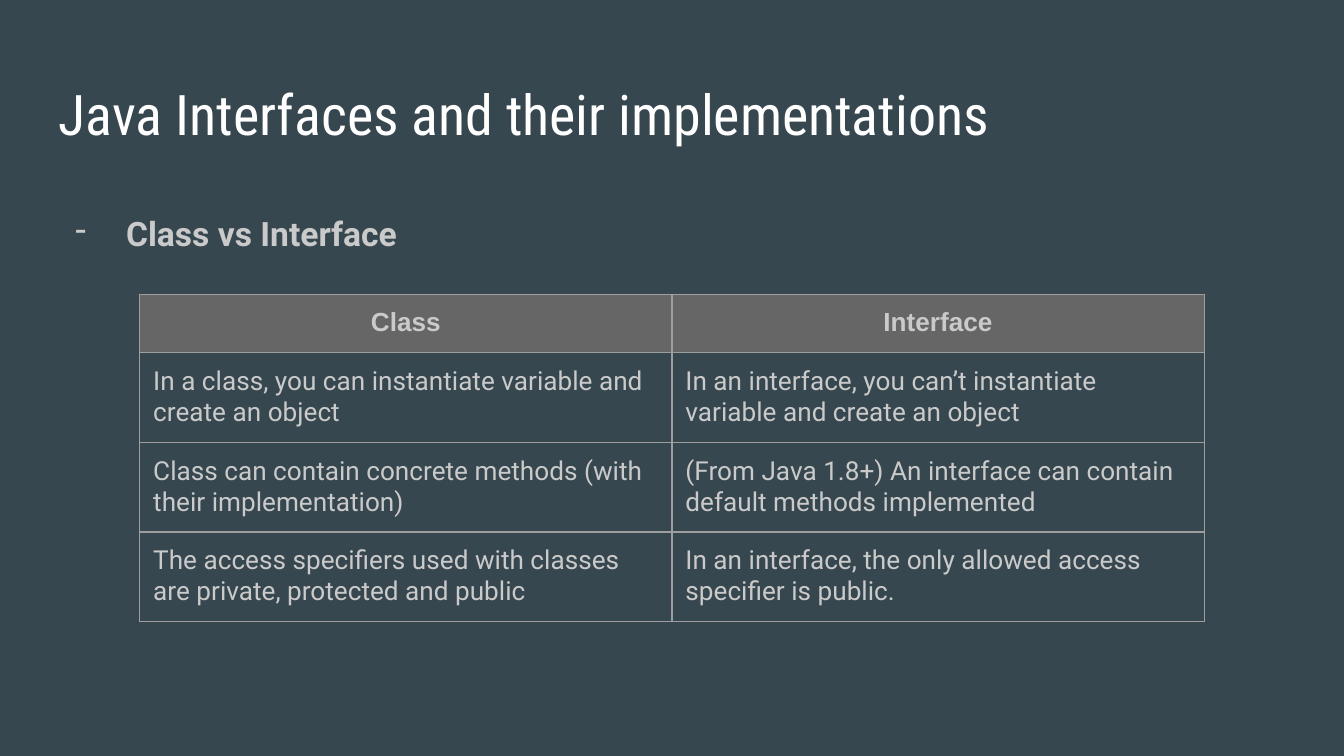
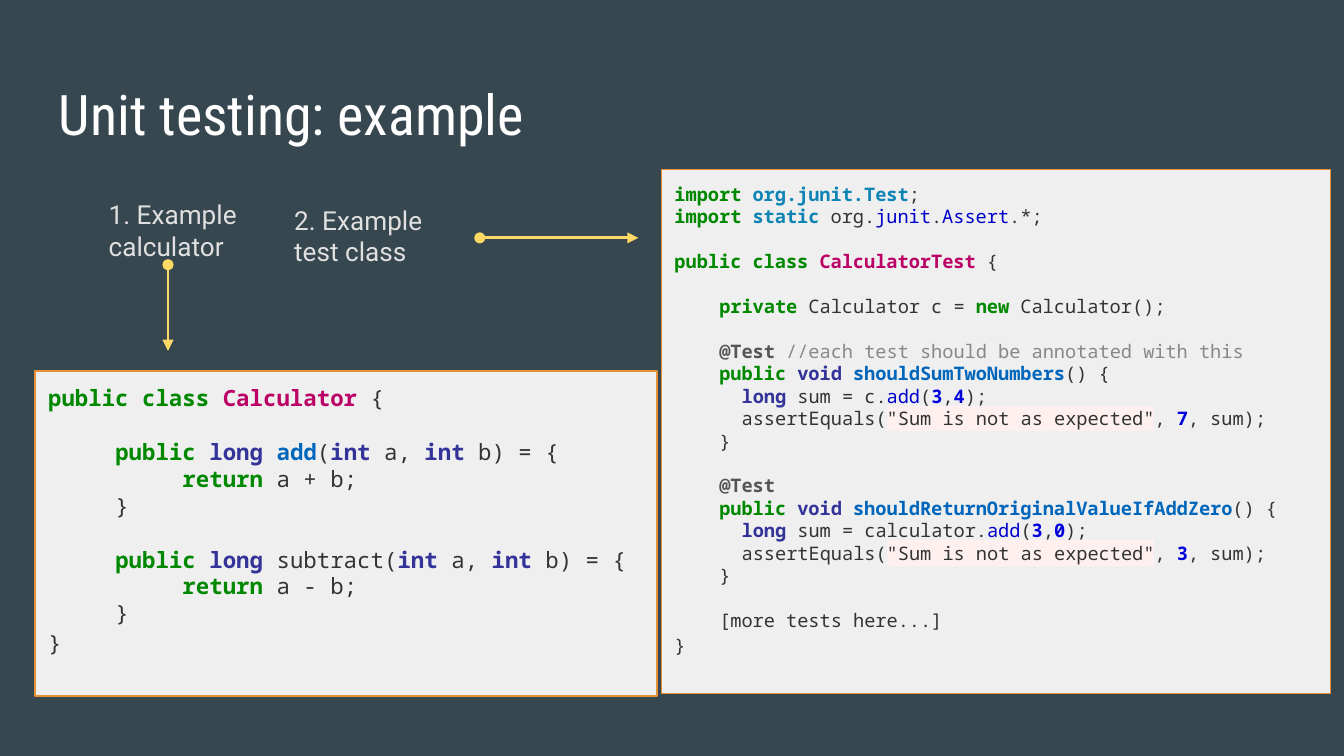
from dataclasses import dataclass
from typing import NamedTuple

from lxml import etree
from pptx import Presentation, util as u
from pptx.dml.color import RGBColor
from pptx.enum import shapes, text
from pptx.oxml.ns import qn

# Grid: square cells, 100 columns by 56.25 rows
CELL = u.Inches(0.1)
COLUMNS, ROWS = 100, 56.25


def cells(count: float) -> u.Emu:
    return u.Emu(round(count * CELL))


class Area(NamedTuple):
    column: float
    row: float
    columns: float
    rows: float

    def lengths(self) -> list[u.Emu]:
        return [cells(count) for count in self]


@dataclass(frozen=True)
class Style:
    size: float
    color: str
    font: str = "Roboto"
    bold: bool = False
    highlight: str = ""


class Theme:
    background = "37474F"
    panel, panel_line = "EFEFEF", "E69138"
    arrow = "FFD966"
    table_head, table_line = "666666", "9E9E9E"
    hairline, arrow_width = 0.75, 1.5
    margin = 1
    title = Style(30, "FFFFFF", "Roboto Condensed")
    bullet = Style(18, "CACACA", bold=True)
    head_cell = Style(14, "CACACA", "Arial", bold=True)
    body_cell = Style(14, "CACACA")
    label = Style(14, "E0E0E0")
    code_font = "Noto Sans Mono"
    code_leading = 1.2
    closing_leading = 1.11
    # colour, bold, highlight of each kind of code token
    tokens = {
        "plain": ("333333", False, ""),
        "keyword": ("008800", True, ""),
        "type": ("333399", True, ""),
        "class": ("BB0066", True, ""),
        "method": ("0066BB", True, ""),
        "module": ("0E84B5", True, ""),
        "member": ("0000CC", False, ""),
        "number": ("0000DD", True, ""),
        "mark": ("555555", True, ""),
        "comment": ("888888", False, ""),
        "string": ("333333", False, "FFF0F0"),
    }


class Token(NamedTuple):
    kind: str
    words: str


class CodeLine(NamedTuple):
    indent: float
    tokens: list[Token]
    gap: bool = False


class Label(NamedTuple):
    area: Area
    words: str


class Arrow(NamedTuple):
    start: tuple[float, float]
    end: tuple[float, float]


class Panel(NamedTuple):
    area: Area
    size: float
    lines: list[CodeLine]


# Content
TITLE_AREA = Area(3.4, 4.9, 93.2, 6.3)
BODY_AREA = Area(3.4, 14.4, 94.4, 37.5)
TABLE_AREA = Area(10.4, 21.9, 79.2, 16.8)
COMPARISON = [
    ("Class", "Interface"),
    ("In a class, you can instantiate variable and create an object",
     "In an interface, you can’t instantiate variable and create an object"),
    ("Class can contain concrete methods (with their implementation)",
     "(From Java 1.8+) An interface can contain default methods implemented"),
    ("The access specifiers used with classes are private, protected and public",
     "In an interface, the only allowed access specifier is public."),
]
LABELS = [
    Label(Area(7.1, 13.8, 11.8, 4.4), "1. Example calculator"),
    Label(Area(20.9, 14.2, 14.8, 4.4), "2. Example test class"),
]
ARROWS = [Arrow((12.5, 19.7), (12.5, 26.1)), Arrow((35.7, 17.7), (47.5, 17.7))]
MEMBER, STATEMENT, TEST_MEMBER = 5, 10, 3.33


def code(indent: float, *pairs: str, gap: bool = False) -> CodeLine:
    """Build a line from alternating token kinds and words."""
    return CodeLine(indent, [Token(*pair) for pair in zip(pairs[::2], pairs[1::2])], gap)


def class_head(name: str, gap: bool = False) -> CodeLine:
    return code(0, "keyword", "public class ", "class", name, "plain", " {", gap=gap)


def operation(kind: str, name: str, sign: str) -> list[CodeLine]:
    return [
        code(MEMBER, "keyword", "public ", "type", "long ", kind, name, "plain", "(",
             "type", "int", "plain", " a, ", "type", "int", "plain", " b) = {", gap=True),
        code(STATEMENT, "keyword", "return", "plain", f" a {sign} b;"),
        code(MEMBER, "plain", "}"),
    ]


def unit_test(name: str, target: str, first: str, second: str, total: str,
              remark: str = "") -> list[CodeLine]:
    mark = ["mark", "@Test"]
    if remark:
        mark = ["mark", "@Test ", "comment", remark]
    return [
        code(TEST_MEMBER, *mark, gap=True),
        code(TEST_MEMBER, "keyword", "public ", "type", "void ", "method", name,
             "plain", "() {"),
        code(MEMBER, "type", "long", "plain", f" sum = {target}.", "member", "add",
             "plain", "(", "number", first, "plain", ",", "number", second, "plain", ");"),
        code(MEMBER, "plain", "assertEquals(", "string", '"Sum is not as expected"',
             "plain", ", ", "number", total, "plain", ", sum);"),
        code(TEST_MEMBER, "plain", "}"),
    ]


PANELS = [
    Panel(Area(2.6, 27.6, 46.3, 24.2), 12, [
        class_head("Calculator"),
        *operation("method", "add", "+"),
        *operation("plain", "subtract", "-"),
        code(0, "plain", "}"),
    ]),
    Panel(Area(49.2, 12.6, 49.8, 39), 10, [
        code(0, "keyword", "import ", "module", "org.junit.Test", "plain", ";"),
        code(0, "keyword", "import ", "module", "static", "plain", " org.",
             "member", "junit", "plain", ".", "member", "Assert", "plain", ".*;"),
        class_head("CalculatorTest", gap=True),
        code(TEST_MEMBER, "keyword", "private", "plain", " Calculator c = ",
             "keyword", "new", "plain", " Calculator();", gap=True),
        *unit_test("shouldSumTwoNumbers", "c", "3", "4", "7",
                   "//each test should be annotated with this"),
        *unit_test("shouldReturnOriginalValueIfAddZero", "calculator", "3", "0", "3"),
        code(TEST_MEMBER, "plain", "[more tests here...]", gap=True),
        code(0, "plain", "}"),
    ]),
]


# Drawing helpers
def add_color(parent, tag: str, color: str):
    holder = etree.SubElement(parent, qn(tag))
    etree.SubElement(holder, qn("a:srgbClr"), val=color)
    return holder


def format_span(span, style: Style) -> None:
    font = span.font
    font.name, font.size, font.bold = style.font, u.Pt(style.size), style.bold
    font.color.rgb = RGBColor.from_string(style.color)
    if style.highlight:
        properties = span._r.get_or_add_rPr()
        holder = add_color(properties, "a:highlight", style.highlight)
        properties.find(qn("a:solidFill")).addnext(holder)


def prepare_frame(frame) -> None:
    frame.word_wrap = True
    frame.vertical_anchor = text.MSO_ANCHOR.TOP
    frame.margin_left = frame.margin_right = cells(Theme.margin)
    frame.margin_top = frame.margin_bottom = cells(Theme.margin)


def add_text(page, area: Area, words: str, style: Style):
    box = page.shapes.add_textbox(*area.lengths())
    prepare_frame(box.text_frame)
    box.text_frame.text = words
    para = box.text_frame.paragraphs[0]
    format_span(para.runs[0], style)
    return para


def add_page(deck, title: str):
    page = deck.slides.add_slide(deck.slide_layouts[6])
    page.background.fill.solid()
    page.background.fill.fore_color.rgb = RGBColor.from_string(Theme.background)
    add_text(page, TITLE_AREA, title, Theme.title)
    return page


def add_bullet(page, words: str) -> None:
    para = add_text(page, BODY_AREA, words, Theme.bullet)
    para.line_spacing = 1.15
    properties = para._p.get_or_add_pPr()
    properties.set("marL", str(cells(5)))
    properties.set("indent", str(cells(-3.8)))
    add_color(properties, "a:buClr", Theme.bullet.color)
    etree.SubElement(properties, qn("a:buChar"), char="-")


def add_comparison(page) -> None:
    table = page.shapes.add_table(len(COMPARISON), len(COMPARISON[0]),
                                  *TABLE_AREA.lengths()).table
    table.first_row = table.horz_banding = False
    for row, entries in enumerate(COMPARISON):
        for column, words in enumerate(entries):
            cell = table.cell(row, column)
            cell.margin_left = cell.margin_right = cells(Theme.margin)
            cell.margin_top = cell.margin_bottom = cells(Theme.margin)
            cell.text_frame.text = words
            para = cell.text_frame.paragraphs[0]
            properties = cell._tc.get_or_add_tcPr()
            for side in "LRTB":
                border = etree.SubElement(properties, qn(f"a:ln{side}"),
                                          w=str(u.Pt(Theme.hairline)))
                add_color(border, "a:solidFill", Theme.table_line)
            if row == 0:
                para.alignment = text.PP_ALIGN.CENTER
                cell.fill.solid()
                cell.fill.fore_color.rgb = RGBColor.from_string(Theme.table_head)
            else:
                cell.fill.background()
            format_span(para.runs[0], Theme.body_cell if row else Theme.head_cell)


def add_panel(page, panel: Panel) -> None:
    box = page.shapes.add_shape(shapes.MSO_SHAPE.RECTANGLE, *panel.area.lengths())
    box.shadow.inherit = False
    box.fill.solid()
    box.fill.fore_color.rgb = RGBColor.from_string(Theme.panel)
    box.line.color.rgb = RGBColor.from_string(Theme.panel_line)
    box.line.width = u.Pt(Theme.hairline)
    frame = box.text_frame
    prepare_frame(frame)
    for number, line in enumerate(panel.lines):
        para = frame.add_paragraph() if number else frame.paragraphs[0]
        para.alignment = text.PP_ALIGN.LEFT
        para._p.get_or_add_pPr().set("marL", str(cells(line.indent)))
        if line.gap:
            para.space_before = u.Pt(panel.size * Theme.code_leading)
        for token in line.tokens:
            span = para.add_run()
            span.text = token.words
            color, bold, highlight = Theme.tokens[token.kind]
            format_span(span, Style(panel.size, color, Theme.code_font, bold, highlight))
    frame.paragraphs[-1].line_spacing = Theme.closing_leading


def add_arrow(page, arrow: Arrow) -> None:
    points = [cells(count) for count in (*arrow.start, *arrow.end)]
    connector = page.shapes.add_connector(shapes.MSO_CONNECTOR.STRAIGHT, *points)
    connector.line.color.rgb = RGBColor.from_string(Theme.arrow)
    connector.line.width = u.Pt(Theme.arrow_width)
    properties = connector.element.spPr
    line = properties.find(qn("a:ln"))
    etree.SubElement(line, qn("a:headEnd"), type="oval")
    etree.SubElement(line, qn("a:tailEnd"), type="triangle")
    etree.SubElement(properties, qn("a:effectLst"))


def main() -> None:
    deck = Presentation()
    deck.slide_width, deck.slide_height = cells(COLUMNS), cells(ROWS)

    # Class and interface compared
    page = add_page(deck, "Java Interfaces and their implementations")
    add_bullet(page, "Class vs Interface")
    add_comparison(page)

    # Code under test and its test class
    page = add_page(deck, "Unit testing: example")
    for panel in PANELS:
        add_panel(page, panel)
    for label in LABELS:
        add_text(page, label.area, label.words, Theme.label)
    for arrow in ARROWS:
        add_arrow(page, arrow)

    deck.save("out.pptx")


if __name__ == "__main__":
    main()
